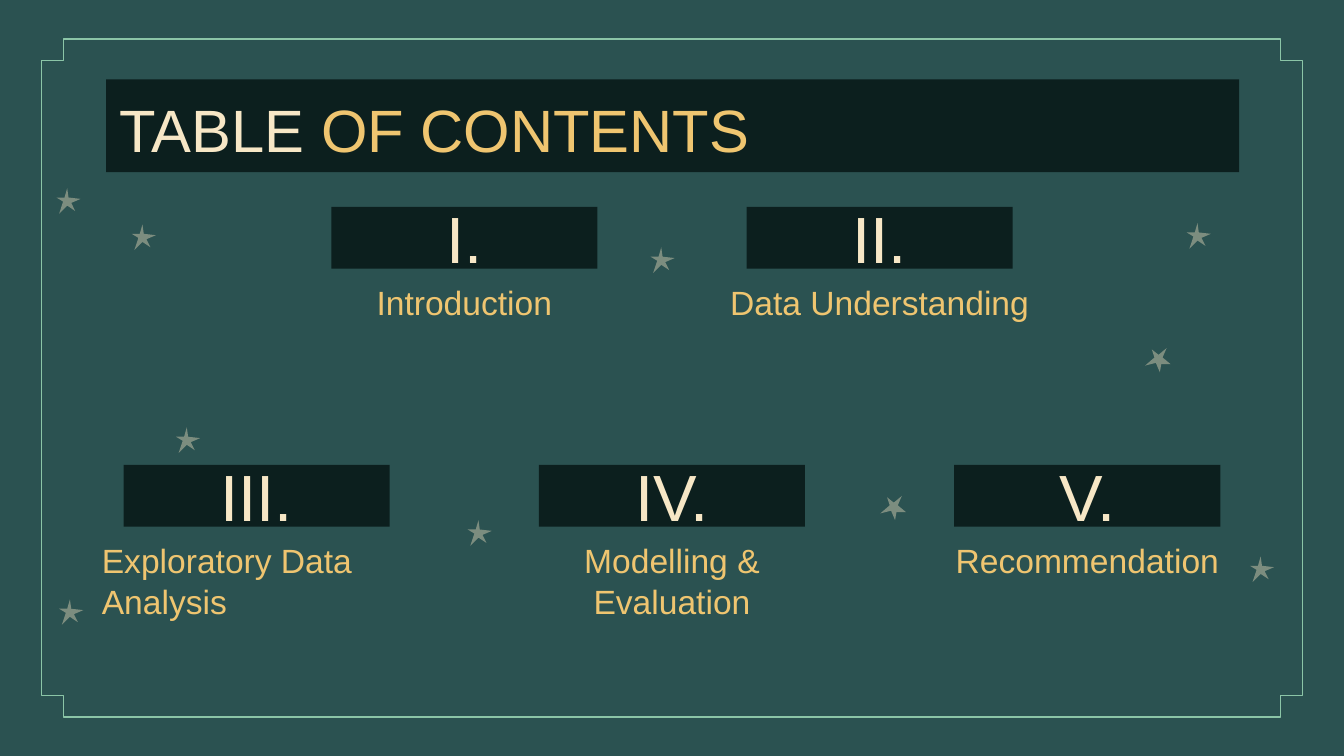
from lxml import etree
from pptx import Presentation
from pptx.dml.color import RGBColor
from pptx.enum.shapes import MSO_SHAPE
from pptx.enum.text import MSO_ANCHOR, MSO_AUTO_SIZE, PP_ALIGN
from pptx.oxml.ns import qn
from pptx.util import Inches, Pt

CROSS, RECTANGLE = MSO_SHAPE.CROSS, MSO_SHAPE.RECTANGLE
LEFT, CENTER = PP_ALIGN.LEFT, PP_ALIGN.CENTER
TOP, MIDDLE = MSO_ANCHOR.TOP, MSO_ANCHOR.MIDDLE
NO_FIT = MSO_AUTO_SIZE.NONE

WIDTH = 10
HEIGHT = WIDTH * 9 / 16
TITLE_ONLY = 5
FONT = "Arial"
COLORS = {
    "background": "2B5251",
    "panel": "0C1F1E",
    "frame": "8BC5A7",
    "cream": "F7E7C6",
    "gold": "EFC570",
}

# Grid of sections: each row is centred on the slide
COLUMN_PITCH = 3.09
ROW_TOPS = (1.54, 3.46)
NUMERAL_SIZE = (1.98, 0.46)
LABEL_SIZE = (2.5, 0.66)
SECTION_ROWS = (
    (("I.", "Introduction", CENTER), ("II.", "Data Understanding", CENTER)),
    (
        ("III.", "Exploratory Data Analysis", LEFT),
        ("IV.", "Modelling & Evaluation", CENTER),
        ("V.", "Recommendation", CENTER),
    ),
)

# Star outlines in hundredths of an inch, and where each star stands
UPRIGHT_STAR = ((8, 0), (6, 7), (0, 7), (5, 10), (2, 19),
                (8, 13), (14, 17), (11, 11), (18, 8), (9, 7))
TILTED_STAR = ((16, 0), (10, 5), (5, 1), (7, 7), (0, 13),
               (8, 11), (11, 18), (12, 12), (19, 12), (13, 7))
STARS = (
    (UPRIGHT_STAR, ((0.98, 1.67), (4.84, 1.84), (3.48, 3.87), (0.42, 1.4),
                    (8.83, 1.66), (9.3, 4.14), (1.31, 3.18), (0.44, 4.46))),
    (TILTED_STAR, ((6.55, 3.69), (8.52, 2.59))),
)


def color(name):
    return RGBColor.from_string(COLORS[name])


def paint(shape, name):
    shape.fill.solid()
    shape.fill.fore_color.rgb = color(name)


def write(shape, *parts, size, align=LEFT, anchor=TOP):
    """Fill a shape with one paragraph made of (text, colour name) parts."""
    frame = shape.text_frame
    frame.auto_size = NO_FIT
    frame.word_wrap = True
    frame.vertical_anchor = anchor
    frame.margin_left = frame.margin_right = Inches(0.1)
    frame.margin_top = frame.margin_bottom = Inches(0.1)
    para = frame.paragraphs[0]
    para.alignment = align
    for text, name in parts:
        span = para.add_run()
        span.text = text
        span.font.name = FONT
        span.font.size = Pt(size)
        span.font.color.rgb = color(name)


def add_frame(page):
    left, top = 0.31, 0.29
    frame = page.shapes.add_shape(
        CROSS, Inches(left), Inches(top),
        Inches(WIDTH - 2 * left), Inches(HEIGHT - 2 * top))
    frame.adjustments[0] = 0.032
    frame.shadow.inherit = False
    frame.fill.background()
    frame.line.color.rgb = color("frame")
    frame.line.width = Pt(0.75)


def add_star(page, outline, left, top):
    builder = page.shapes.build_freeform(*outline[0], scale=Inches(0.01))
    builder.add_line_segments(outline[1:], close=True)
    star = builder.convert_to_shape()
    star.left, star.top = Inches(left), Inches(top)
    star.shadow.inherit = False
    star.line.fill.background()
    paint(star, "cream")
    tint = star.element.spPr.find(qn("a:solidFill"))[0]
    etree.SubElement(tint, qn("a:alpha"), val="40000")


def add_title(page):
    title = page.shapes.title
    title.left, title.top = Inches(0.79), Inches(0.59)
    title.width, title.height = Inches(8.43), Inches(0.69)
    paint(title, "panel")
    write(title, ("TABLE", "cream"), (" OF CONTENTS", "gold"), size=32)


def add_section(page, center, top, numeral, label, align):
    # Numeral on a dark panel
    width, height = NUMERAL_SIZE
    panel = page.shapes.add_shape(
        RECTANGLE, Inches(center - width / 2), Inches(top),
        Inches(width), Inches(height))
    panel.shadow.inherit = False
    panel.line.fill.background()
    paint(panel, "panel")
    write(panel, (numeral, "cream"), size=35, align=CENTER, anchor=MIDDLE)

    # Label right below the panel
    label_width, label_height = LABEL_SIZE
    box = page.shapes.add_textbox(
        Inches(center - label_width / 2), Inches(top + height),
        Inches(label_width), Inches(label_height))
    write(box, (label, "gold"), size=18, align=align)


def main():
    deck = Presentation()
    deck.slide_width, deck.slide_height = Inches(WIDTH), Inches(HEIGHT)
    page = deck.slides.add_slide(deck.slide_layouts[TITLE_ONLY])
    paint(page.background, "background")

    # Decoration
    add_frame(page)
    for outline, places in STARS:
        for left, top in places:
            add_star(page, outline, left, top)

    # Contents
    add_title(page)
    for top, sections in zip(ROW_TOPS, SECTION_ROWS):
        first = WIDTH / 2 - COLUMN_PITCH * (len(sections) - 1) / 2
        for column, section in enumerate(sections):
            add_section(page, first + column * COLUMN_PITCH, top, *section)

    deck.save("out.pptx")


if __name__ == "__main__":
    main()
